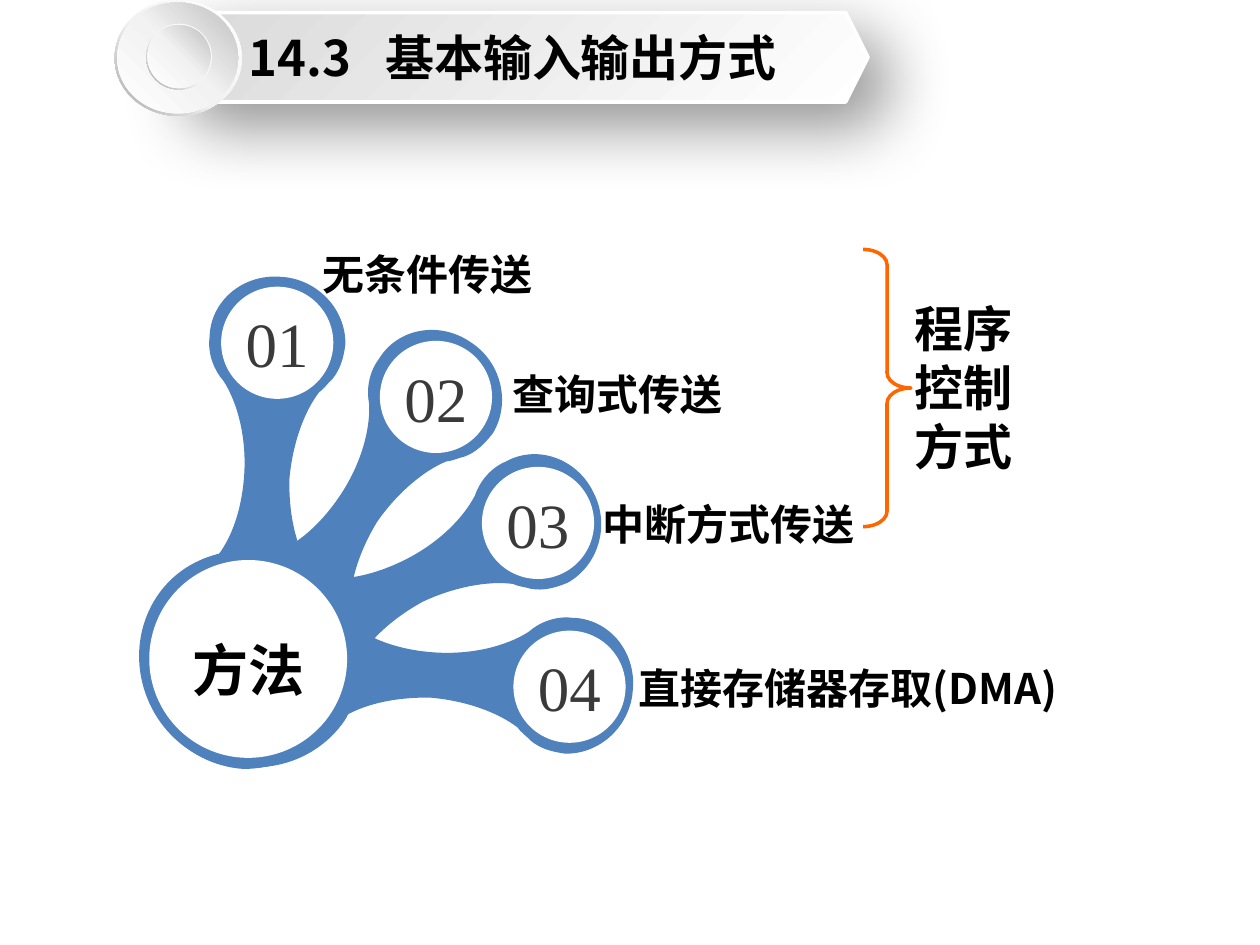
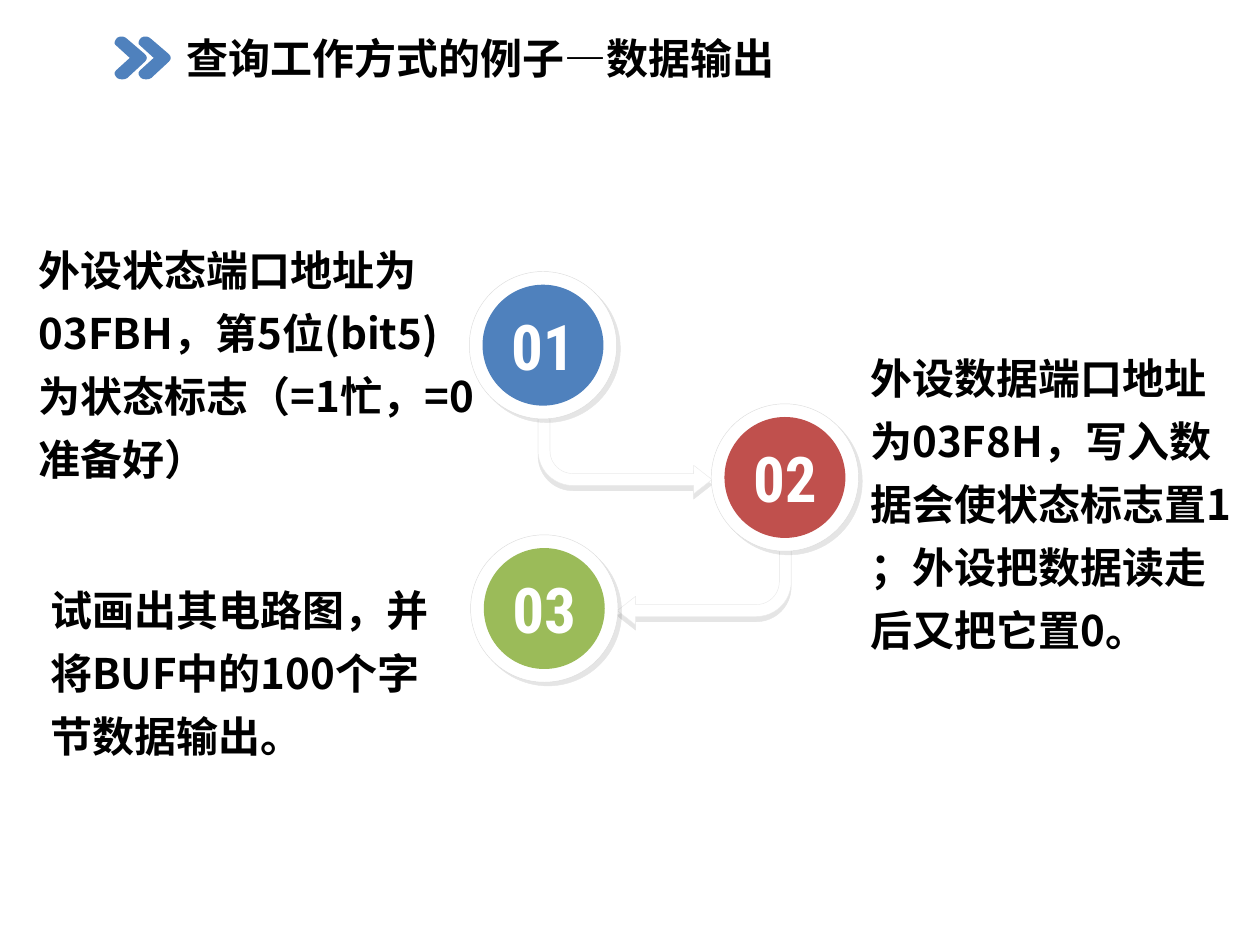
from lxml import etree
from pptx import Presentation
from pptx import util as u
from pptx.dml.color import RGBColor
from pptx.enum import shapes, text
from pptx.oxml import ns

COLORS = {
    "black": "000000", "white": "FFFFFF", "number": "3A3A3A",
    "blue": "4F81BD", "red": "C0504D", "green": "9BBB59", "orange": "FF6600",
    "ring_line": "DDDDDD", "arrow_line": "EAEAEA",
    "band": "D9D9D9", "pale": "F2F2F2", "rim": "A6A6A6", "dial": "BFBFBF",
}
CJK, SERIF, CONDENSED = "Noto Sans CJK SC", "Times New Roman", "Roboto Condensed"
SHAPE = shapes.MSO_SHAPE
ANCHOR = text.MSO_ANCHOR
CENTER = text.PP_ALIGN.CENTER

# Outlines: a start point, then segments of 2 (line) or 6 (cubic curve) numbers.
# The petal is measured from its centre, the chevron from its top left corner.
PETAL = [
    (-1.12, -0.87),
    (-0.78, -0.87, -0.48, -0.67, -0.35, -0.36), (-0.2, -0.22, 0.07, -0.13, 0.39, -0.13),
    (0.67, -0.13, 0.93, -0.21, 1.1, -0.33), (1.18, -0.41, 1.31, -0.47, 1.44, -0.46),
    (1.73, -0.47, 1.96, -0.22, 1.95, 0.08), (1.95, 0.37, 1.72, 0.61, 1.44, 0.62),
    (1.33, 0.61, 1.24, 0.59, 1.16, 0.53), (1.12, 0.49, 1.08, 0.47, 1.05, 0.43),
    (0.89, 0.32, 0.63, 0.24, 0.35, 0.23), (0, 0.24, -0.3, 0.35, -0.44, 0.51),
    (-0.59, 0.72, -0.84, 0.86, -1.11, 0.87), (-1.57, 0.86, -1.95, 0.48, -1.95, 0),
    (-1.95, -0.48, -1.58, -0.87, -1.12, -0.87),
]
CHEVRON = [
    (0.07, 0.35),
    (0.06, 0.35, 0.04, 0.35, 0.03, 0.34), (0.01, 0.32, 0, 0.3, 0.02, 0.28),
    (0.13, 0.18), (0.02, 0.08),
    (0, 0.07, 0.01, 0.04, 0.03, 0.02), (0.06, 0, 0.09, 0.01, 0.11, 0.03),
    (0.25, 0.15), (0.27, 0.17, 0.27, 0.19, 0.25, 0.21),
    (0.11, 0.34), (0.1, 0.35, 0.08, 0.35, 0.07, 0.35),
]


def rgb(color):
    return RGBColor.from_string(COLORS[color])


def inches(*lengths):
    return [u.Inches(length) for length in lengths]


def style_shape(shape, fill=None, line=None, width=0.25):
    shape.shadow.inherit = False
    if fill:
        shape.fill.solid()
        shape.fill.fore_color.rgb = rgb(fill)
    else:
        shape.fill.background()
    if line:
        shape.line.color.rgb = rgb(line)
        shape.line.width = u.Pt(width)
    else:
        shape.line.fill.background()


def add_preset(slide, kind, box, fill=None, line=None, width=0.25, adjustments=()):
    shape = slide.shapes.add_shape(kind, *inches(*box))
    style_shape(shape, fill, line, width)
    for index, value in enumerate(adjustments):
        shape.adjustments[index] = value
    return shape


def add_color_xml(parent, color):
    return etree.SubElement(parent, ns.qn("a:srgbClr"), val=COLORS[color])


def set_gradient(shape, stops, angle):
    """Fill with (percent, colour) stops; the angle runs clockwise."""
    shape.fill.gradient()
    shape.fill.gradient_angle = (360 - angle) % 360
    stop_list = next(shape.element.iter(ns.qn("a:gsLst")))
    for stop in list(stop_list):
        stop_list.remove(stop)
    for percent, color in stops:
        stop = etree.SubElement(stop_list, ns.qn("a:gs"), pos=str(percent * 1000))
        add_color_xml(stop, color)


def set_shadow(shape, opacity, blur, distance, angle):
    effects = next(shape.element.iter(ns.qn("a:effectLst")))
    shadow = etree.SubElement(
        effects, ns.qn("a:outerShdw"), blurRad=str(u.Pt(blur)),
        dist=str(u.Pt(distance)), dir=str(angle * 60000), algn="ctr", rotWithShape="0")
    color = add_color_xml(shadow, "black")
    etree.SubElement(color, ns.qn("a:alpha"), val=str(opacity * 1000))


def add_run(paragraph, words, size, font=CJK, color="black", bold=True):
    run = paragraph.add_run()
    run.text = words
    run.font.size = u.Pt(size)
    run.font.bold = bold
    run.font.color.rgb = rgb(color)
    run.font.name = font
    etree.SubElement(run.font._element, ns.qn("a:ea"), typeface=font)
    return run


def set_frame(shape, insets=(0.1, 0.05, 0.1, 0.05), anchor=ANCHOR.MIDDLE):
    frame = shape.text_frame
    frame.word_wrap = True
    frame.auto_size = text.MSO_AUTO_SIZE.NONE
    frame.vertical_anchor = anchor
    (frame.margin_left, frame.margin_top,
     frame.margin_right, frame.margin_bottom) = inches(*insets)
    return frame


def fill_frame(frame, lines, size, line_spacing=None, alignment=None, **font):
    for index, words in enumerate(lines):
        paragraph = frame.add_paragraph() if index else frame.paragraphs[0]
        paragraph.alignment = alignment
        paragraph.line_spacing = line_spacing
        add_run(paragraph, words, size, **font)


def add_disc(slide, center, diameter, fill, line=None):
    left, top = (value - diameter / 2 for value in center)
    return add_preset(slide, SHAPE.OVAL, (left, top, diameter, diameter), fill, line)


def add_disc_text(disc, words, size, line_spacing=None, **font):
    frame = set_frame(disc, (0, 0, 0, 0))
    fill_frame(frame, [words], size, line_spacing, CENTER, **font)


def add_outline(slide, contours, fill):
    """Draw contours of lines and curves, given in slide inches, as one shape."""
    builder = slide.shapes.build_freeform(*inches(*contours[0][0]))
    for index, (start, *segments) in enumerate(contours):
        if index:
            builder.move_to(*inches(*start))
        builder.add_line_segments([inches(*segment[-2:]) for segment in segments], close=True)
    shape = builder.convert_to_shape()
    style_shape(shape, fill)
    segments = [segment for contour in contours for segment in contour[1:]]
    for line, segment in zip(list(shape.element.iter(ns.qn("a:lnTo"))), segments):
        if len(segment) == 2:
            continue
        curve = etree.Element(ns.qn("a:cubicBezTo"))
        for x, y in zip(*[iter(inches(*segment))] * 2):
            etree.SubElement(curve, ns.qn("a:pt"), x=str(x - shape.left), y=str(y - shape.top))
        line.getparent().replace(line, curve)
    return shape


def shift_outline(outline, left, top):
    return [[value + (top if index % 2 else left) for index, value in enumerate(segment)]
            for segment in outline]


def place_title(slide, box):
    """Lay the title over the parts drawn so far and return its paragraph."""
    title = slide.shapes.title
    title.left, title.top, title.width, title.height = inches(*box)
    title.element.getparent().append(title.element)
    return set_frame(title).paragraphs[0]


def title_band(slide, left, top):
    band_box = (left + 0.34, top + 0.1, 5.64, 0.71)
    band = add_preset(slide, SHAPE.HEXAGON, band_box, "white", "white", 2)
    set_gradient(band, [(0, "white"), (100, "band")], 225)
    set_shadow(band, 42, 38, 19, 45)
    rim_stops = [(0, "white"), (55, "pale"), (100, "rim")]
    face_stops = [(0, "white"), (51, "pale"), (100, "dial")]
    dials = [((0, 0, 1.01, 0.92), (0.02, 0.02, 0.96, 0.88)),
             ((0.25, 0.19, 0.52, 0.52), (0.26, 0.2, 0.5, 0.5))]
    for rim_box, face_box in dials:
        for kind, (x, y, width, height), stops, angle, adjustments in (
                (SHAPE.DONUT, rim_box, rim_stops, 135, [0.05]),
                (SHAPE.OVAL, face_box, face_stops, 315, [])):
            part = add_preset(slide, kind, (left + x, top + y, width, height),
                              "white", adjustments=adjustments)
            set_gradient(part, stops, angle)
    paragraph = place_title(slide, band_box)
    paragraph.alignment = CENTER
    add_run(paragraph, "14.3", 28)
    gap = add_run(paragraph, " ", 28)
    gap.font._element.set("spc", "1300")
    add_run(paragraph, "基本输入输出方式", 28)


def petal_fan(slide, left, top):
    # Petal centre, disc centre, label box, label
    petals = [
        ((0.95, 2.54), (1.1, 1.12), (1.38, 0.01, 4.88, 1.01), "无条件传送"),
        ((1.51, 2.71), (2.36, 1.55), (2.89, 0.96, 3.33, 1.01), "查询式传送"),
        ((1.84, 3.13), (3.17, 2.55), (3.6, 1.8, 2.88, 1.39), "中断方式传送"),
        ((1.98, 3.69), (3.42, 3.85), (3.89, 3.33, 3.58, 0.94), "直接存储器存取(DMA)"),
    ]
    for index, ((x, y), _, _, _) in enumerate(petals):
        petal = add_outline(slide, [shift_outline(PETAL, left + x, top + y)], "blue")
        petal.rotation = 272.9 + 30 * index
    hub = add_disc(slide, (left + 0.87, top + 3.63), 1.57, "white")
    add_disc_text(hub, "方法", 32, 1.3)
    for index, (_, (x, y), (label_x, label_y, width, height), label) in enumerate(petals, 1):
        disc = add_disc(slide, (left + x, top + y), 0.89, "white")
        add_disc_text(disc, f"{index:02}", 36, font=SERIF, color="number", bold=False)
        box = slide.shapes.add_textbox(
            *inches(left + label_x, top + label_y, width, height))
        fill_frame(set_frame(box, (0.08, 0, 0.08, 0)), [label], 24, 1.3)


def control_group(slide, left, top):
    add_preset(slide, SHAPE.RIGHT_BRACE, (left, top, 0.38, 2.2), line="orange",
               width=2, adjustments=[0.32, 0.5])
    box = slide.shapes.add_textbox(*inches(left + 0.31, top + 0.34, 1.02, 1.51))
    fill_frame(set_frame(box, anchor=ANCHOR.TOP), ["程序", "控制", "方式"], 28)


def chevron_title(slide, left, top):
    chevrons = [shift_outline(CHEVRON, left + shift, top + 0.07) for shift in (0, 0.19)]
    add_outline(slide, chevrons, "blue")
    paragraph = place_title(slide, (left + 0.48, top, 5.04, 0.5))
    paragraph.alignment = text.PP_ALIGN.LEFT
    add_run(paragraph, "查询工作方式的例子—数据输出", 24)


def step_chain(slide, left, top):
    for x, y, flips in ((1.17, 2.17, ("flipH", "flipV")), (0.54, 1.13, ("flipV",))):
        arrow = add_preset(slide, SHAPE.BENT_ARROW, (left + x, top + y, 1.38, 0.63),
                           "white", "arrow_line", adjustments=[0.15, 0.18, 0.23, 0.44])
        for flip in flips:
            next(arrow.element.iter(ns.qn("a:xfrm"))).set(flip, "1")
        set_shadow(arrow, 10, 0, 3, 90)
    steps = [((0.58, 0.58), "blue"), ((2.5, 1.63), "red"), ((0.59, 2.67), "green")]
    for index, ((x, y), color) in enumerate(steps, 1):
        center = (left + x, top + y)
        ring = add_disc(slide, center, 1.17, "white", "ring_line")
        set_shadow(ring, 10, 0, 3, 45)
        core = add_disc(slide, center, 0.96, color)
        add_disc_text(core, f"{index:02}", 36, font=CONDENSED, color="white")


def step_notes(slide, left, top):
    notes = [
        ((0, 0, 3.65, 2.05),
         "外设状态端口地址为03FBH，第5位(bit5)为状态标志（=1忙，=0准备好）"),
        ((6.6, 0.86, 3.09, 2.56),
         "外设数据端口地址为03F8H，写入数据会使状态标志置1 ；外设把数据读走后又把它置0。"),
        ((0.09, 2.7, 3.32, 1.55), "试画出其电路图，并将BUF中的100个字节数据输出。"),
    ]
    for (x, y, width, height), words in notes:
        box = slide.shapes.add_textbox(*inches(left + x, top + y, width, height))
        fill_frame(set_frame(box, anchor=ANCHOR.TOP), [words], 24, 1.25)


def main():
    presentation = Presentation()
    presentation.slide_width, presentation.slide_height = inches(10, 7.5)
    title_only = presentation.slide_layouts[5]

    methods = presentation.slides.add_slide(title_only)
    title_band(methods, 0.91, 0)
    petal_fan(methods, 1.1, 1.6)
    control_group(methods, 6.85, 1.98)

    example = presentation.slides.add_slide(title_only)
    chevron_title(example, 0.9, 0.21)
    step_chain(example, 3.73, 2.16)
    step_notes(example, 0.21, 1.79)

    presentation.save("out.pptx")


if __name__ == "__main__":
    main()
